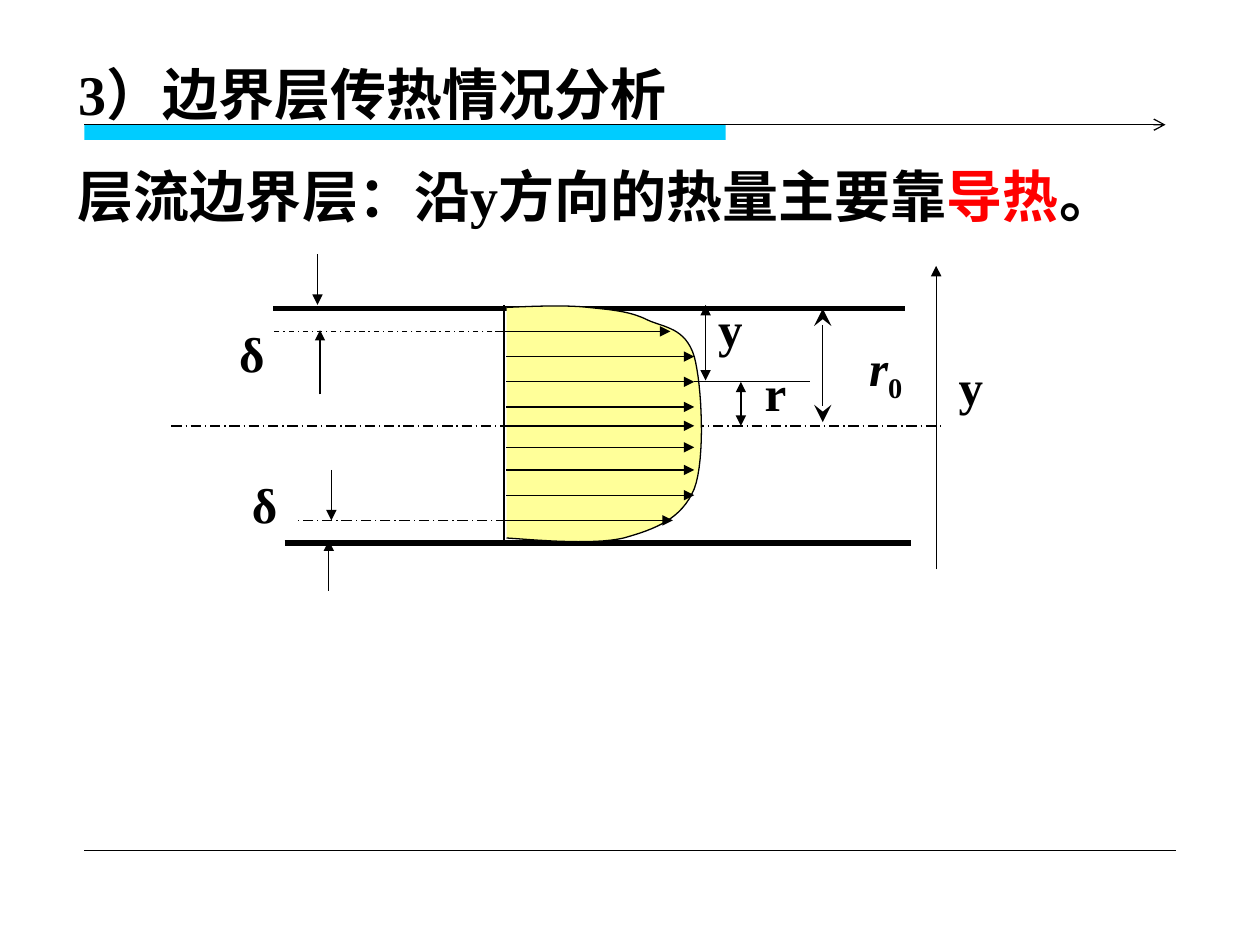
from lxml import etree
from pptx import Presentation
from pptx.dml.color import RGBColor
from pptx.enum.dml import MSO_LINE
from pptx.enum.shapes import MSO_CONNECTOR, MSO_SHAPE
from pptx.enum.text import MSO_ANCHOR, PP_ALIGN
from pptx.oxml.ns import qn
from pptx.util import Inches, Pt

STRAIGHT = MSO_CONNECTOR.STRAIGHT
RECTANGLE = MSO_SHAPE.RECTANGLE
TOP = MSO_ANCHOR.TOP
LEFT, JUSTIFY = PP_ALIGN.LEFT, PP_ALIGN.JUSTIFY
DASH_DOT, LONG_DASH_DOT = MSO_LINE.DASH_DOT, MSO_LINE.LONG_DASH_DOT

COLORS = {"ink": "000000", "accent": "FF0000", "bar": "00CCFF", "flow": "FFFF99"}
FONT = "Times New Roman"


def color(name):
    return RGBColor.from_string(COLORS[name])


def bezier(start, c1, c2, end, steps=16):
    """Points along a cubic curve, without its start."""
    for i in range(1, steps + 1):
        t = i / steps
        u = 1 - t
        yield tuple(u**3 * a + 3 * u * u * t * b + 3 * u * t * t * c + t**3 * d
                    for a, b, c, d in zip(start, c1, c2, end))


class SlideBuilder:
    def __init__(self, slide):
        self.slide = slide
        self.shapes = slide.shapes

    def fill_text(self, shape, box, runs, size, align):
        """Each run is (text, colour, italic, baseline)."""
        shape.left, shape.top, shape.width, shape.height = map(Inches, box)
        frame = shape.text_frame
        frame.word_wrap = True
        frame.vertical_anchor = TOP
        paragraph = frame.paragraphs[0]
        paragraph.alignment = align
        # Closing punctuation stays inside the right margin
        paragraph._p.get_or_add_pPr().set("hangingPunct", "0")
        paragraph.font.name = FONT
        paragraph.font.size = Pt(size)
        paragraph.font.bold = True
        for text, ink, italic, baseline in runs:
            run = paragraph.add_run()
            run.text = text
            run.font.color.rgb = color(ink)
            if italic:
                run.font.italic = True
            if baseline:
                run._r.get_or_add_rPr().set("baseline", str(baseline * 1000))

    def title(self, text, box):
        self.fill_text(self.shapes.title, box, [(text, "ink", False, 0)], 32, JUSTIFY)

    def text(self, runs, box, size=28, align=LEFT):
        textbox = self.shapes.add_textbox(*map(Inches, box))
        self.fill_text(textbox, box, runs, size, align)

    def label(self, text, left, top, width=0.56):
        self.text([(text, "ink", False, 0)], (left, top, width, 0.57))

    def bar(self, box):
        bar = self.shapes.add_shape(RECTANGLE, *map(Inches, box))
        bar.shadow.inherit = False
        bar.fill.solid()
        bar.fill.fore_color.rgb = color("bar")
        bar.line.fill.background()

    def line(self, start, end, width=0.75, dash=None, head=None, tail=None, size="med"):
        line = self.shapes.add_connector(STRAIGHT, *map(Inches, start + end))
        line.line.color.rgb = color("ink")
        line.line.width = Pt(width)
        if dash:
            line.line.dash_style = dash
        outline = line.line._get_or_add_ln()
        for tag, arrow in (("a:headEnd", head), ("a:tailEnd", tail)):
            if arrow:
                etree.SubElement(outline, qn(tag), type=arrow, w=size, len=size)
        etree.SubElement(line._element.spPr, qn("a:effectLst"))

    def arrow(self, start, end, both=False, style="triangle", size="med"):
        self.line(start, end, head=style if both else None, tail=style, size=size)

    def curve(self, start, segments):
        points = [start]
        for segment in segments:
            points.extend(bezier(points[-1], *segment))
        first, *others = [(Inches(x), Inches(y)) for x, y in points]
        builder = self.shapes.build_freeform(*first)
        builder.add_line_segments(others, close=False)
        shape = builder.convert_to_shape()
        shape.shadow.inherit = False
        shape.fill.solid()
        shape.fill.fore_color.rgb = color("flow")
        shape.line.color.rgb = color("ink")
        shape.line.width = Pt(0.75)


def main():
    prs = Presentation()
    prs.slide_width, prs.slide_height = Inches(10), Inches(7.5)
    page = SlideBuilder(prs.slides.add_slide(prs.slide_layouts[5]))

    # Page rules
    page.bar((0.67, 0.99, 5.09, 0.12))
    page.line((0.67, 6.75), (9.33, 6.75), width=0.25)
    page.line((0.67, 0.99), (9.25, 0.99), tail="arrow")

    # Heading and statement
    page.title("3）边界层传热情况分析", (0.52, 0.42, 8.58, 0.63))
    page.text([("层流边界层：沿y方向的热量主要靠", "ink", False, 0),
               ("导热", "accent", False, 0),
               ("。", "ink", False, 0)],
              (0.52, 1.23, 8.58, 1.17), size=32, align=JUSTIFY)

    # Pipe walls, inlet section and centre line
    axis_y, inlet_x, front_x = 3.38, 4.02, 5.51
    page.line((2.17, 2.45), (7.18, 2.45), width=3)
    page.line((2.26, 4.31), (7.23, 4.31), width=3)
    page.line((4, 2.42), (4, 4.33))
    page.line((1.36, axis_y), (7.48, axis_y), dash=LONG_DASH_DOT)

    # Velocity profile
    page.curve((inlet_x, 2.44), [
        ((4.25, 2.43), (4.49, 2.42), (4.67, 2.44)),
        ((4.86, 2.46), (5, 2.47), (5.14, 2.54)),
        ((5.27, 2.6), (5.44, 2.6), (front_x, 2.83)),
        ((5.57, 3.05), (5.6, 3.64), (front_x, 3.88)),
        ((5.41, 4.12), (5.2, 4.2), (4.95, 4.27)),
        ((4.7, 4.33), (4.18, 4.28), (inlet_x, 4.27)),
    ])
    for y in (2.83, 3.03, 3.23, axis_y, 3.55, 3.73, 3.93):
        page.arrow((inlet_x, y), (front_x, y))

    # Edges of the laminar layers
    upper_edge, lower_edge = 2.63, 4.13
    page.arrow((3.93, upper_edge), (5.32, upper_edge))
    page.arrow((inlet_x, lower_edge), (5.34, lower_edge))
    page.line((inlet_x, upper_edge), (2.17, upper_edge), dash=DASH_DOT)
    page.line((inlet_x, lower_edge), (2.35, lower_edge), dash=LONG_DASH_DOT)

    # Layer thickness marks
    for x, start_y, end_y in ((2.52, 2.02, 2.42), (2.54, 3.13, 2.62),
                              (2.63, 3.73, 4.13), (2.61, 4.69, 4.29)):
        page.arrow((x, start_y), (x, end_y))
    page.label("δ", 1.8, 2.52)
    page.label("δ", 1.9, 3.72)

    # Radial dimensions
    page.line((front_x, 3.03), (6.43, 3.03))
    page.arrow((5.6, 3.02), (5.6, 2.42), both=True)
    page.arrow((5.88, axis_y), (5.88, 3.03), both=True)
    page.arrow((6.53, 2.45), (6.53, 3.35), both=True, style="stealth", size="lg")
    page.label("y", 5.6, 2.32, 0.65)
    page.label("r", 5.97, 2.83, 0.37)
    page.text([("r", "ink", True, 0), ("0", "ink", False, -25)],
              (6.8, 2.63, 1.06, 0.63))

    # Vertical axis
    page.arrow((7.43, 4.52), (7.43, 2.11))
    page.label("y", 7.51, 2.78)

    prs.save("out.pptx")


if __name__ == "__main__":
    main()
